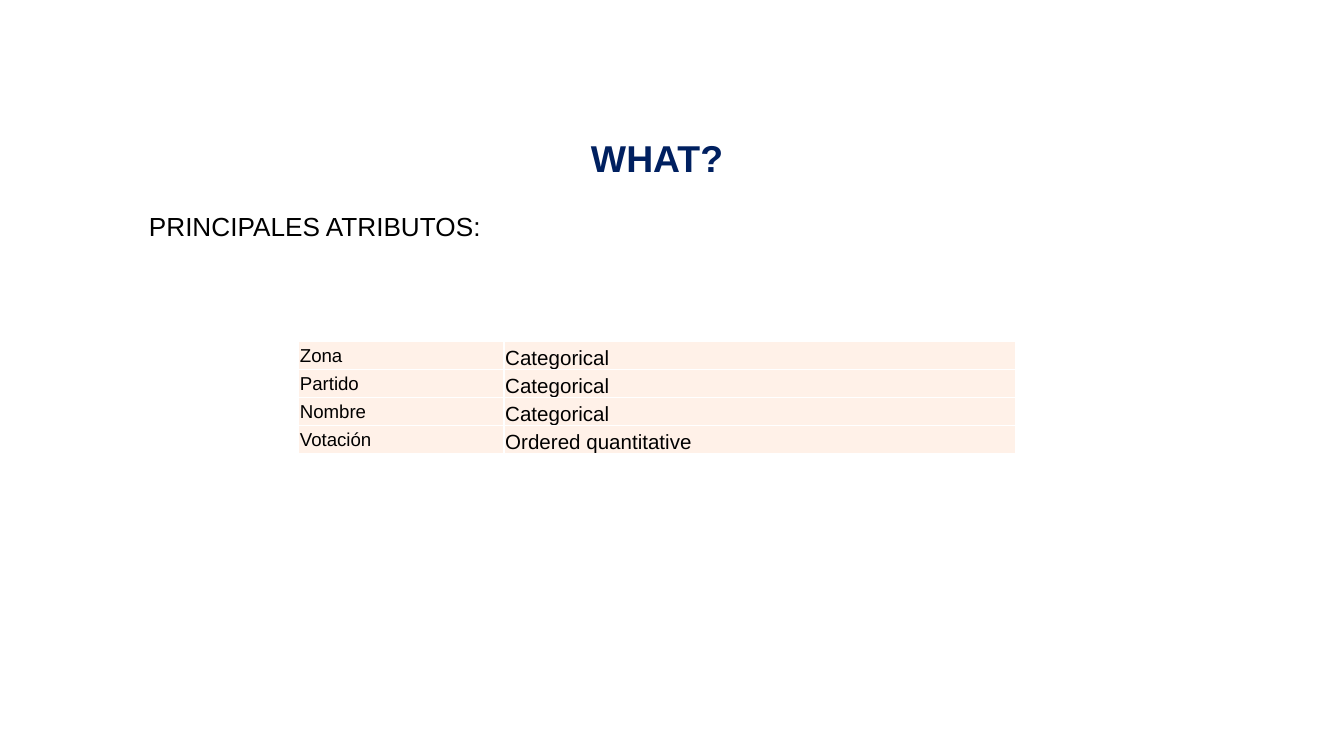
from lxml import etree
from pptx import Presentation
from pptx.dml.color import RGBColor
from pptx.enum import text
from pptx.oxml import ns
from pptx.util import Pt

NAVY = RGBColor(0x00, 0x20, 0x60)
BLACK = RGBColor(0, 0, 0)
WHITE = RGBColor(255, 255, 255)
PEACH = RGBColor(0xFF, 0xF1, 0xE8)


def style(paragraph, size, color, bold=False):
    font = paragraph.font
    font.name, font.size, font.bold = "Arial", Pt(size), bold
    font.color.rgb = color


def add_borders(cell):
    properties = cell._tc.get_or_add_tcPr()
    for position, side in enumerate(("lnL", "lnR", "lnT", "lnB")):
        line = etree.Element(ns.qn(f"a:{side}"), w=str(Pt(1)))
        fill = etree.SubElement(line, ns.qn("a:solidFill"))
        etree.SubElement(fill, ns.qn("a:srgbClr"), val=str(WHITE))
        properties.insert(position, line)


prs = Presentation()
prs.slide_width, prs.slide_height = Pt(720), Pt(405)
slide = prs.slides.add_slide(prs.slide_layouts[6])

attributes = [
    ("Zona", "Categorical"),
    ("Partido", "Categorical"),
    ("Nombre", "Categorical"),
    ("Votación", "Ordered quantitative"),
]
row_height = 15
column_widths = (110, 274.3)
column_styles = [
    (10, text.MSO_ANCHOR.MIDDLE),
    (11, text.MSO_ANCHOR.BOTTOM),
]

attribute_table = slide.shapes.add_table(
    len(attributes), 2, Pt(160), Pt(183),
    Pt(sum(column_widths)), Pt(row_height * len(attributes))).table
attribute_table.first_row = False
attribute_table.horz_banding = False
for column, width in zip(attribute_table.columns, column_widths):
    column.width = Pt(width)

for row, values in zip(attribute_table.rows, attributes):
    row.height = Pt(row_height)
    for cell, value, (size, anchor) in zip(row.cells, values, column_styles):
        cell.text = value
        cell.vertical_anchor = anchor
        cell.margin_left = cell.margin_right = cell.margin_top = Pt(0.7)
        cell.margin_bottom = 0
        cell.fill.solid()
        cell.fill.fore_color.rgb = PEACH
        style(cell.text_frame.paragraphs[0], size, BLACK)
        add_borders(cell)

heading = slide.shapes.add_textbox(Pt(72.7), Pt(69), Pt(558.7), Pt(65.5)).text_frame
heading.word_wrap = True
question = heading.paragraphs[0]
question.text = "WHAT?"
question.alignment = text.PP_ALIGN.CENTER
style(question, 20, NAVY, bold=True)
subtitle = heading.add_paragraph()
subtitle.text = "PRINCIPALES ATRIBUTOS:"
subtitle.space_before = Pt(16)
style(subtitle, 14, BLACK)

prs.save("out.pptx")
